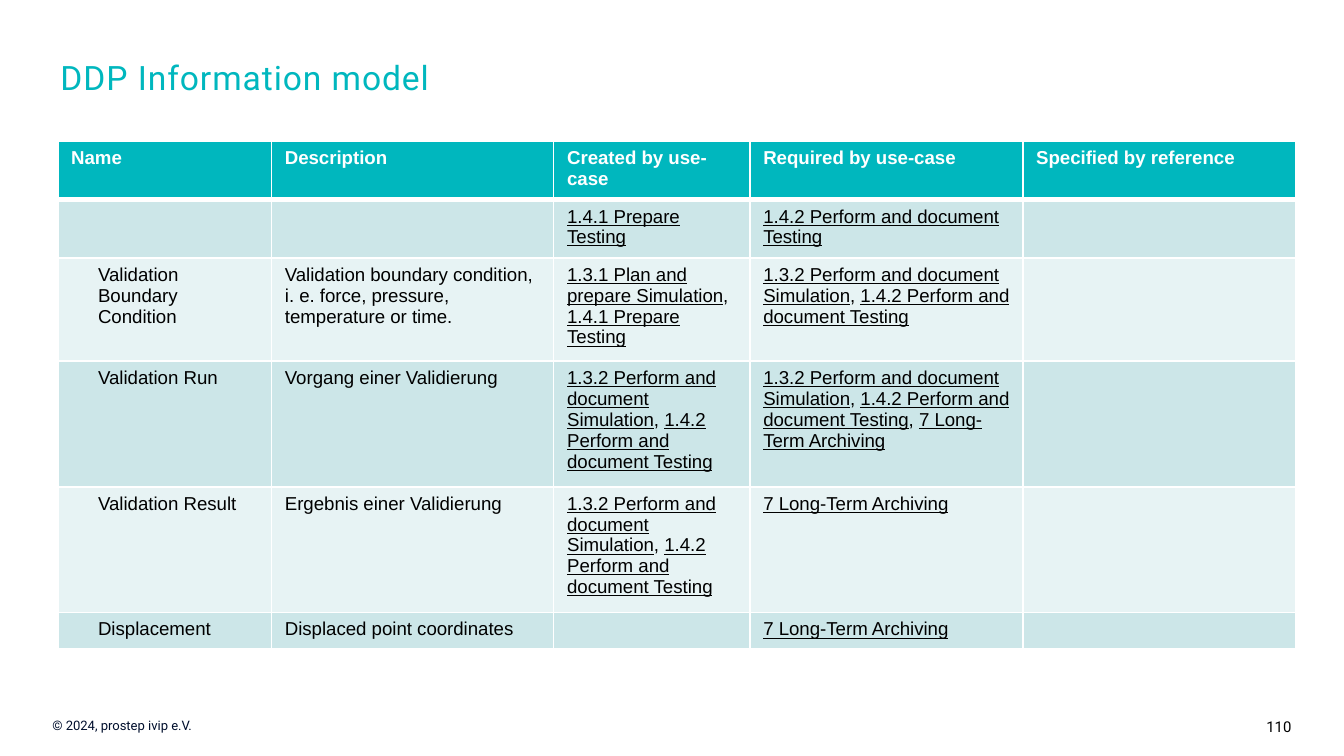
from dataclasses import dataclass

from lxml.etree import SubElement
from pptx import Presentation
from pptx.dml.color import RGBColor
from pptx.enum.text import MSO_ANCHOR, PP_ALIGN
from pptx.oxml.ns import qn
from pptx.util import Inches, Pt


@dataclass(frozen=True)
class Theme:
    teal: str = "00B7BE"
    dark: str = "CCE6E8"
    light: str = "E7F3F4"
    white: str = "FFFFFF"
    black: str = "000000"
    navy: str = "000F2D"
    head: str = "Roboto"
    body: str = "Arial"
    title: int = 18
    cell: int = 10
    page: int = 8
    foot: int = 7
    thin: int = 1
    thick: int = 3


THEME = Theme()

PLAN = "1.3.1 Plan and prepare Simulation"
RUN_SIM = "1.3.2 Perform and document Simulation"
PREP = "1.4.1 Prepare Testing"
RUN_TEST = "1.4.2 Perform and document Testing"
STORE = "7 Long-Term Archiving"

COLS = (1.59, 2.1, 1.46, 2.03, 2.03)
HEIGHTS = (0.16, 0.16, 0.67, 0.83, 0.83, 0.17)  # rows grow to fit their text
HEADS = ("Name", "Description", "Created by use-case",
         "Required by use-case", "Specified by reference")
# name, description, use cases that create it, use cases that require it
ITEMS = (
    ("", "", (PREP,), (RUN_TEST,)),
    ("Validation Boundary Condition",
     "Validation boundary condition, i. e. force, pressure, temperature or time.",
     (PLAN, PREP), (RUN_SIM, RUN_TEST)),
    ("Validation Run", "Vorgang einer Validierung",
     (RUN_SIM, RUN_TEST), (RUN_SIM, RUN_TEST, STORE)),
    ("Validation Result", "Ergebnis einer Validierung",
     (RUN_SIM, RUN_TEST), (STORE,)),
    ("Displacement", "Displaced point coordinates", (), (STORE,)),
)


def style(para, face, size, color, bold=False):
    font = para.font
    font.name, font.size, font.bold = face, Pt(size), bold
    font.color.rgb = RGBColor.from_string(color)


def add_title(slide, text):
    title = slide.shapes.title
    title.left, title.top = Inches(0.35), Inches(0.37)
    title.width, title.height = Inches(7.49), Inches(0.68)
    frame = title.text_frame
    frame.vertical_anchor = MSO_ANCHOR.TOP
    para = frame.paragraphs[0]
    run = para.add_run()
    run.text = text
    run.font._element.set("spc", "50")
    para.alignment = PP_ALIGN.LEFT
    style(para, THEME.head, THEME.title, THEME.teal)


def add_label(slide, text, box, pads, size, color, align):
    frame = slide.shapes.add_textbox(*map(Inches, box)).text_frame
    frame.word_wrap = True
    frame.margin_left, frame.margin_right = map(Inches, pads)
    para = frame.paragraphs[0]
    para.text = text
    para.alignment = align
    style(para, THEME.head, size, color)


def rule_cell(cell, top, base):
    """Draw white borders; call it before the cell gets its fill."""
    props = cell._tc.get_or_add_tcPr()
    sides = {"L": THEME.thin, "R": THEME.thin, "T": top, "B": base}
    for side, width in sides.items():
        line = SubElement(props, qn(f"a:ln{side}"), w=str(Pt(width)))
        paint = SubElement(line, qn("a:solidFill"))
        SubElement(paint, qn("a:srgbClr"), val=THEME.white)


def fill_cell(cell, text, fill, color=THEME.black, bold=False):
    """Write plain text, or a tuple of underlined names joined by commas."""
    para = cell.text_frame.paragraphs[0]
    if isinstance(text, tuple):
        for i, name in enumerate(text):
            if i:
                para.add_run().text = ", "
            run = para.add_run()
            run.text = name
            run.font.underline = True
    elif text:
        para.add_run().text = text
    style(para, THEME.body, THEME.cell, color, bold)
    if not text:  # keeps an empty row from growing
        SubElement(para._p, qn("a:endParaRPr"), sz=str(THEME.cell * 100))
    cell.fill.solid()
    cell.fill.fore_color.rgb = RGBColor.from_string(fill)


def add_grid(slide):
    box = (0.43, 1.05, sum(COLS), sum(HEIGHTS))
    grid = slide.shapes.add_table(
        len(HEIGHTS), len(COLS), *map(Inches, box)).table
    for col, width in zip(grid.columns, COLS):
        col.width = Inches(width)
    for row, height in zip(grid.rows, HEIGHTS):
        row.height = Inches(height)
    for c, head in enumerate(HEADS):
        cell = grid.cell(0, c)
        rule_cell(cell, THEME.thin, THEME.thick)
        fill_cell(cell, head, THEME.teal, THEME.white, True)
    for r, item in enumerate(ITEMS, 1):
        fill = THEME.dark if r % 2 else THEME.light
        top = THEME.thick if r == 1 else THEME.thin
        for c, text in enumerate((*item, "")):
            cell = grid.cell(r, c)
            rule_cell(cell, top, THEME.thin)
            fill_cell(cell, text, fill)
        if item[0]:
            grid.cell(r, 0).margin_left = Inches(0.3)


def main():
    deck = Presentation()
    deck.slide_width, deck.slide_height = Inches(10), Inches(10 * 9 / 16)
    slide = deck.slides.add_slide(deck.slide_layouts[5])
    add_label(slide, "110", (9.09, 5.29, 0.91, 0.24), (0.1, 0.39),
              THEME.page, THEME.black, PP_ALIGN.RIGHT)
    add_label(slide, "© 2024, prostep ivip e.V.", (0, 5.29, 2.4, 0.22),
              (0.39, 0.1), THEME.foot, THEME.navy, PP_ALIGN.LEFT)
    add_title(slide, "DDP Information model")
    add_grid(slide)
    deck.save("out.pptx")


if __name__ == "__main__":
    main()
